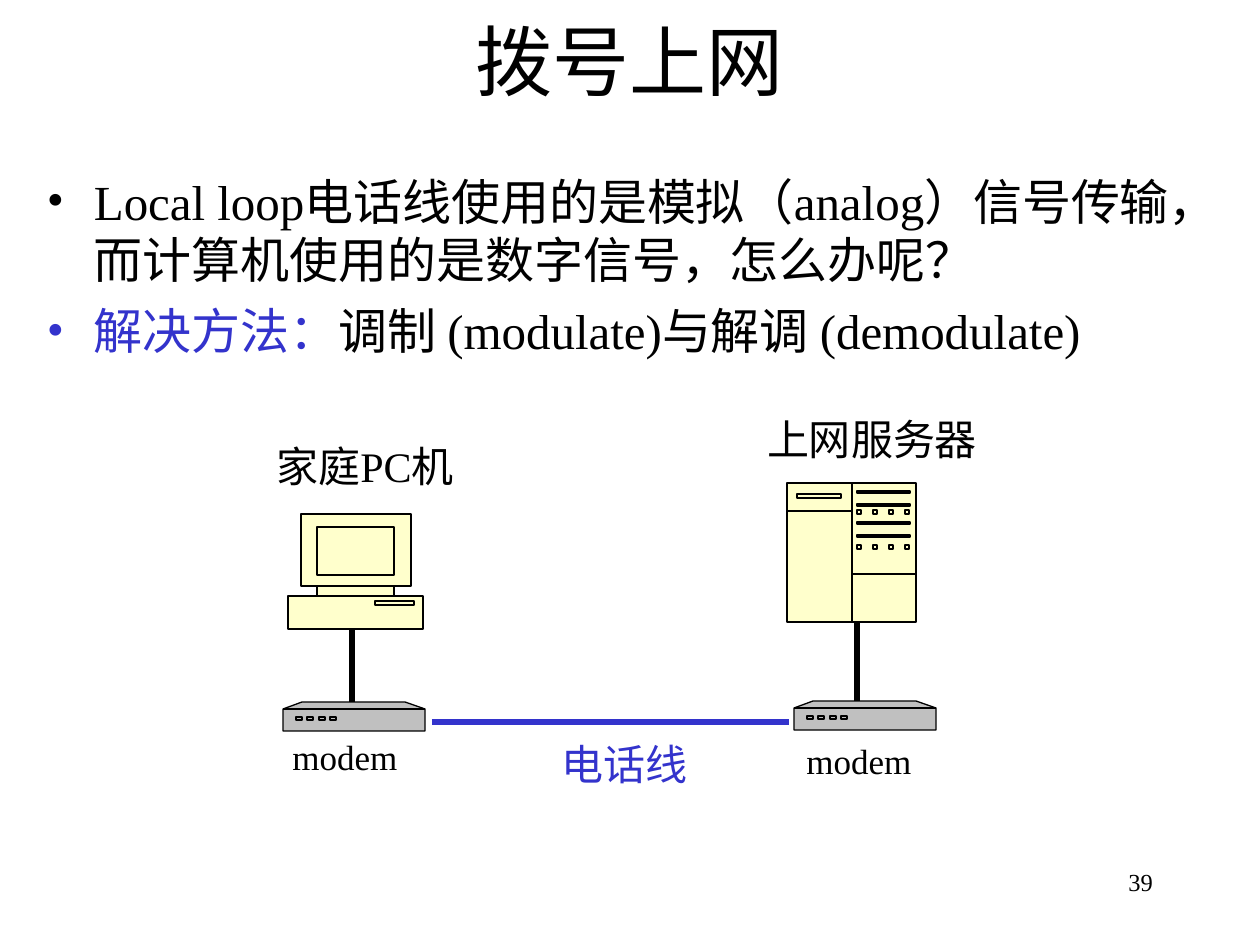
from pptx import Presentation
from pptx.dml.color import RGBColor
from pptx.enum.shapes import MSO_CONNECTOR
from pptx.enum.text import MSO_ANCHOR, MSO_AUTO_SIZE, PP_ALIGN
from pptx.oxml.ns import qn
from pptx.util import Pt
from lxml import etree

PX = 914400 / 126
FONT = "Times New Roman"
BLACK = RGBColor(0, 0, 0)
BLUE = RGBColor(0x33, 0x33, 0xCC)
GREY = RGBColor(0xC0, 0xC0, 0xC0)
CREAM = RGBColor(0xFF, 0xFF, 0xCC)
LEFT, CENTER, RIGHT = PP_ALIGN.LEFT, PP_ALIGN.CENTER, PP_ALIGN.RIGHT
TOP, MIDDLE = MSO_ANCHOR.TOP, MSO_ANCHOR.MIDDLE
FIT = MSO_AUTO_SIZE.SHAPE_TO_FIT_TEXT
LINE = MSO_CONNECTOR.STRAIGHT


def emu(*sizes):
    return [round(size * PX) for size in sizes]


def box(x, y, w, h):
    return [(x, y), (x + w, y), (x + w, y + h), (x, y + h), (x, y)]


class Pen:
    def __init__(self, slide):
        self.slide = slide
        self.shapes = slide.shapes

    def style(self, run, size, color):
        font = run.font
        font.name, font.size = FONT, Pt(size)
        font.color.rgb = color

    def frame(self, x, y, w, h, pad=True, anchor=TOP):
        frame = self.shapes.add_textbox(*emu(x, y, w, h)).text_frame
        frame.word_wrap = pad
        frame.vertical_anchor = anchor
        side, edge = emu(13, 6) if pad else (0, 0)
        frame.margin_left = frame.margin_right = side
        frame.margin_top = frame.margin_bottom = edge
        return frame

    def text(self, words, x, y, w, h, size, color=BLACK, align=CENTER,
             pad=True, anchor=TOP):
        frame = self.frame(x, y, w, h, pad, anchor)
        frame.text = words
        line = frame.paragraphs[0]
        line.alignment = align
        self.style(line.runs[0], size, color)
        return frame

    def label(self, words, x, y, w, h, size, color=BLACK):
        self.text(words, x, y, w, h, size, color, pad=False).auto_size = FIT

    def bullets(self, items, x, y, w, h, size):
        frame = self.frame(x, y, w, h)
        for i, parts in enumerate(items):
            line = frame.add_paragraph() if i else frame.paragraphs[0]
            props = line._p.get_or_add_pPr()
            indent = emu(47)[0]
            props.set("marL", str(indent))
            props.set("indent", str(-indent))
            tint = etree.SubElement(props, qn("a:buClr"))
            etree.SubElement(tint, qn("a:srgbClr")).set("val", str(parts[0][1]))
            etree.SubElement(props, qn("a:buFont")).set("typeface", FONT)
            etree.SubElement(props, qn("a:buChar")).set("char", "•")
            line.alignment = LEFT
            if i:
                line.space_before = Pt(7)
            for words, color in parts:
                run = line.add_run()
                run.text = words
                self.style(run, size, color)

    def form(self, x, y, fill, edge, details):
        """Draw a filled outline with its details as a second path."""
        edge, *details = [[(x + a, y + b) for a, b in part]
                          for part in (edge, *details)]
        pen = self.shapes.build_freeform(*edge[0], scale=PX)
        pen.add_line_segments(edge[1:], close=True)
        for part in details:
            pen.move_to(*part[0])
            pen.add_line_segments(part[1:], close=False)
        shape = pen.convert_to_shape()
        first = next(shape._element.iter(qn("a:path")))
        second = etree.SubElement(first.getparent(), first.tag,
                                  dict(first.attrib))
        # The outline holds its start, its segments and the closing mark
        for step in list(first)[len(edge) + 1:]:
            second.append(step)
        shape.shadow.inherit = False
        shape.fill.solid()
        shape.fill.fore_color.rgb = fill
        shape.line.color.rgb = BLACK
        shape.line.width = Pt(0.75)

    def line(self, x1, y1, x2, y2, color=BLACK):
        line = self.shapes.add_connector(LINE, *emu(x1, y1, x2, y2))
        line.line.color.rgb = color
        line.line.width = Pt(3)
        etree.SubElement(line._element.spPr, qn("a:effectLst"))

    def modem(self, x, y):
        edge = [(0, 7), (19, 0), (122, 0), (142, 7), (142, 29), (0, 29)]
        lights = [box(13 + i * 23 // 2, 15, 6, 3) for i in range(4)]
        self.form(x, y, GREY, edge, [[(0, 7), (142, 7)], *lights])

    def desktop(self, x, y):
        edge = [(13, 0), (123, 0), (123, 72), (106, 72), (106, 82),
                (135, 82), (135, 115), (0, 115), (0, 82), (29, 82),
                (29, 72), (13, 72)]
        neck, screen = box(29, 72, 77, 10), box(29, 13, 77, 48)
        self.form(x, y, CREAM, edge, [neck, screen, box(87, 87, 39, 4)])

    def server(self, x, y):
        seams = [[(0, 28), (65, 28), (65, 91), (129, 91)],
                 [(65, 0), (65, 28)], [(65, 91), (65, 139)]]
        bars = [box(70, top, 53, 2) for top in (8, 21, 39, 52)]
        lights = [box(70 + 16 * i, top, 4, 4)
                  for top in (27, 62) for i in range(4)]
        self.form(x, y, CREAM, box(0, 0, 129, 139)[:4],
                  [box(10, 11, 44, 4), *seams, *bars, *lights])


def main():
    deck = Presentation()
    deck.slide_width, deck.slide_height = emu(1260, 945)
    pen = Pen(deck.slides.add_slide(deck.slide_layouts[6]))

    # Title and points
    pen.text("拨号上网", 94, 7, 1071, 106, 44, anchor=MIDDLE)
    pen.bullets([
        [("Local loop电话线使用的是模拟（analog）信号传输，而计算机使用的是数字信号，怎么办呢？", BLACK)],
        [("解决方法：", BLUE), ("调制 (modulate)与解调 (demodulate)", BLACK)],
    ], 34, 165, 1160, 268, 28)

    # Devices
    pen.modem(283, 702)
    pen.modem(794, 701)
    pen.desktop(288, 514)
    pen.server(787, 483)

    # Labels and cables
    pen.label("modem", 292, 735, 106, 42, 20)
    pen.label("modem", 806, 740, 106, 42, 20)
    pen.line(432, 722, 789, 722, BLUE)
    pen.label("电话线", 562, 739, 126, 50, 24, BLUE)
    pen.line(352, 629, 352, 702)
    pen.line(857, 701, 857, 622)
    pen.label("家庭PC机", 266, 441, 198, 50, 24)
    pen.label("上网服务器", 767, 414, 210, 50, 24)

    # Page number
    pen.text("39", 904, 861, 262, 63, 14, align=RIGHT)
    deck.save("out.pptx")


if __name__ == "__main__":
    main()
